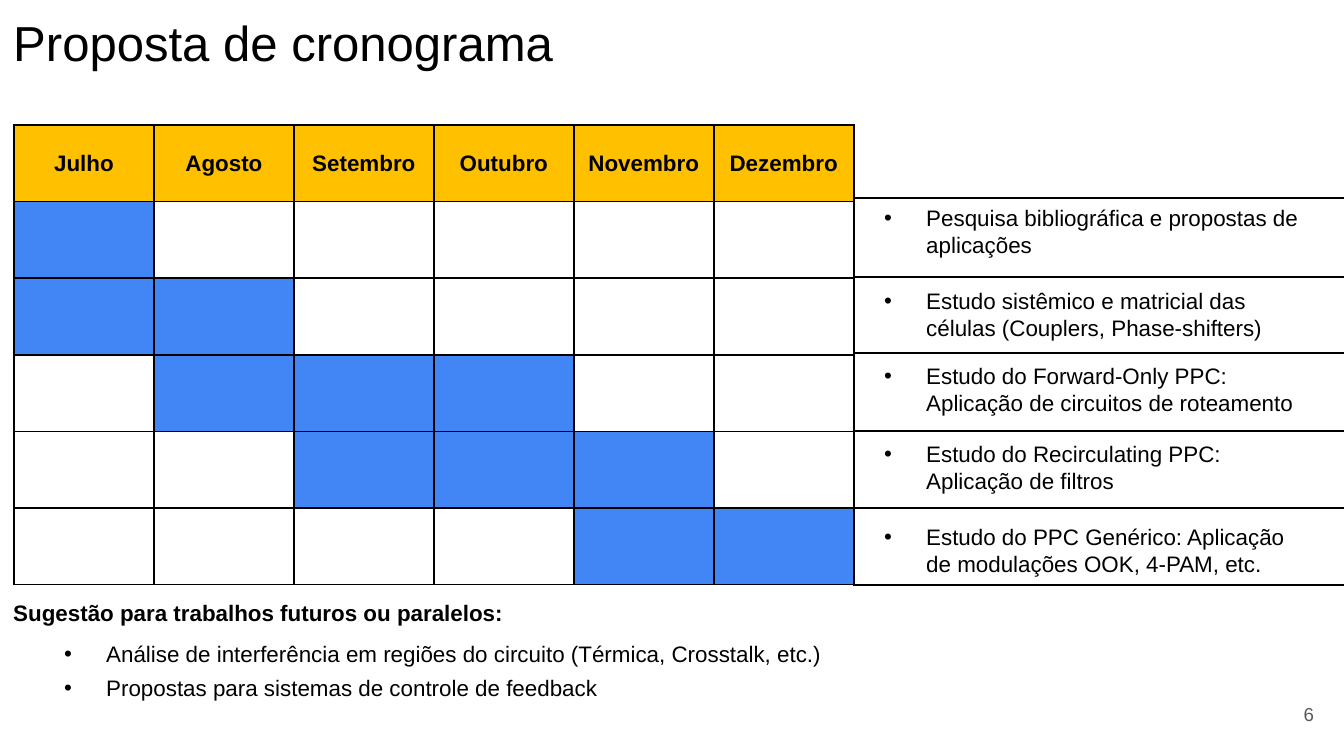
from dataclasses import dataclass

from lxml.etree import SubElement
from pptx import Presentation
from pptx.dml.color import RGBColor
from pptx.enum.shapes import MSO_CONNECTOR
from pptx.enum.text import MSO_ANCHOR, PP_ALIGN
from pptx.oxml.ns import qn
from pptx.util import Emu, Pt


@dataclass(frozen=True)
class Theme:
    font: str = "Arial"
    ink: str = "000000"
    grey: str = "595959"
    head: str = "FFC000"
    busy: str = "4285F4"
    title: float = 26.3
    body: float = 12
    small: float = 10
    rule: float = 0.75
    grid: float = 1


THEME = Theme()
SCALE = 914400 / 134.4
WIDTH, HEIGHT = 1344, 756
TITLE = "Proposta de cronograma"
MONTHS = ["Julho", "Agosto", "Setembro", "Outubro", "Novembro", "Dezembro"]
TASKS = [
    ("Pesquisa bibliográfica e propostas de aplicações", 0, 0, 198, 473),
    ("Estudo sistêmico e matricial das células (Couplers, Phase-shifters)", 0, 1, 281, 458),
    ("Estudo do Forward-Only PPC: Aplicação de circuitos de roteamento", 1, 3, 356, 458),
    ("Estudo do Recirculating PPC: Aplicação de filtros", 2, 4, 434, 458),
    ("Estudo do PPC Genérico: Aplicação de modulações OOK, 4-PAM, etc.", 4, 5, 517, 458),
]
FUTURE = "Sugestão para trabalhos futuros ou paralelos:"
IDEAS = [
    ("Análise de interferência em regiões do circuito (Térmica, Crosstalk, etc.)", 634, 839),
    ("Propostas para sistemas de controle de feedback", 668, 621),
]
PAGE = "6"

LEFT, TOP, COL, DEEP = 14, 125, 140, 460
RIGHT = 853
RULES = [198, 277, 353, 431, 508, 585]
INDENT, PAD = 42, 13


def px(n):
    return Emu(round(n * SCALE))


def color(code):
    return RGBColor.from_string(code)


def style(para, size=THEME.body, ink=THEME.ink, bold=False):
    for run in para.runs:
        font = run.font
        font.name, font.size, font.bold = THEME.font, Pt(size), bold
        font.color.rgb = color(ink)


def add_text(slide, text, x, y, w, h, bullet=False, pad=None, **look):
    frame = slide.shapes.add_textbox(px(x), px(y), px(w), px(h)).text_frame
    frame.word_wrap = True
    if pad is not None:
        frame.margin_top = frame.margin_bottom = px(pad)
    para = frame.paragraphs[0]
    para.text = text
    style(para, **look)
    if bullet:
        props = para._p.get_or_add_pPr()
        props.set("marL", str(px(INDENT)))
        props.set("indent", str(-px(INDENT)))
        SubElement(props, qn("a:buFont"), typeface=THEME.font)
        SubElement(props, qn("a:buChar"), char="•")
    return frame


def add_edges(cell):
    props = cell._tc.get_or_add_tcPr()
    for side in ("lnL", "lnR", "lnT", "lnB"):
        edge = SubElement(props, qn(f"a:{side}"), w=str(Pt(THEME.grid)))
        fill = SubElement(edge, qn("a:solidFill"))
        SubElement(fill, qn("a:srgbClr"), val=THEME.ink)


def add_plan(slide):
    rows, cols = len(TASKS) + 1, len(MONTHS)
    table = slide.shapes.add_table(
        rows, cols, px(LEFT), px(TOP), px(COL * cols), px(DEEP)
    ).table
    table.first_row = table.horz_banding = False
    for col in table.columns:
        col.width = px(COL)
    for row in table.rows:
        row.height = px(DEEP / rows)
    for cell in table.iter_cells():
        add_edges(cell)
        cell.fill.background()
    for i, month in enumerate(MONTHS):
        cell = table.cell(0, i)
        cell.fill.solid()
        cell.fill.fore_color.rgb = color(THEME.head)
        cell.vertical_anchor = MSO_ANCHOR.MIDDLE
        cell.margin_left = cell.margin_right = 0
        para = cell.text_frame.paragraphs[0]
        para.text = month
        para.alignment = PP_ALIGN.CENTER
        style(para, bold=True)
    for r, (_, first, last, _, _) in enumerate(TASKS, 1):
        for c in range(first, last + 1):
            fill = table.cell(r, c).fill
            fill.solid()
            fill.fore_color.rgb = color(THEME.busy)


def add_rule(slide, y):
    line = slide.shapes.add_connector(
        MSO_CONNECTOR.STRAIGHT, px(RIGHT), px(y), px(WIDTH), px(y)
    )
    line.line.color.rgb = color(THEME.ink)
    line.line.width = Pt(THEME.rule)
    SubElement(line._element.spPr, qn("a:effectLst"))


def main():
    deck = Presentation()
    deck.slide_width, deck.slide_height = px(WIDTH), px(HEIGHT)
    slide = deck.slides.add_slide(deck.slide_layouts[6])

    title = add_text(slide, TITLE, 0, 0, 1298, 85, pad=PAD, size=THEME.title)
    title.vertical_anchor = MSO_ANCHOR.BOTTOM
    title.paragraphs[0].line_spacing = 0.9

    add_plan(slide)
    for y in RULES:
        add_rule(slide, y)
    for text, _, _, y, w in TASKS:
        add_text(slide, text, 871, y, w, 67, bullet=True)

    add_text(slide, FUTURE, 0, 593, 589, 40, bold=True)
    for text, y, w in IDEAS:
        add_text(slide, text, 51, y, w, 40, bullet=True)

    page = add_text(slide, PAGE, 1246, 685, 81, 58, pad=PAD, size=THEME.small, ink=THEME.grey)
    page.vertical_anchor = MSO_ANCHOR.MIDDLE
    page.paragraphs[0].alignment = PP_ALIGN.RIGHT

    deck.save("out.pptx")


if __name__ == "__main__":
    main()
